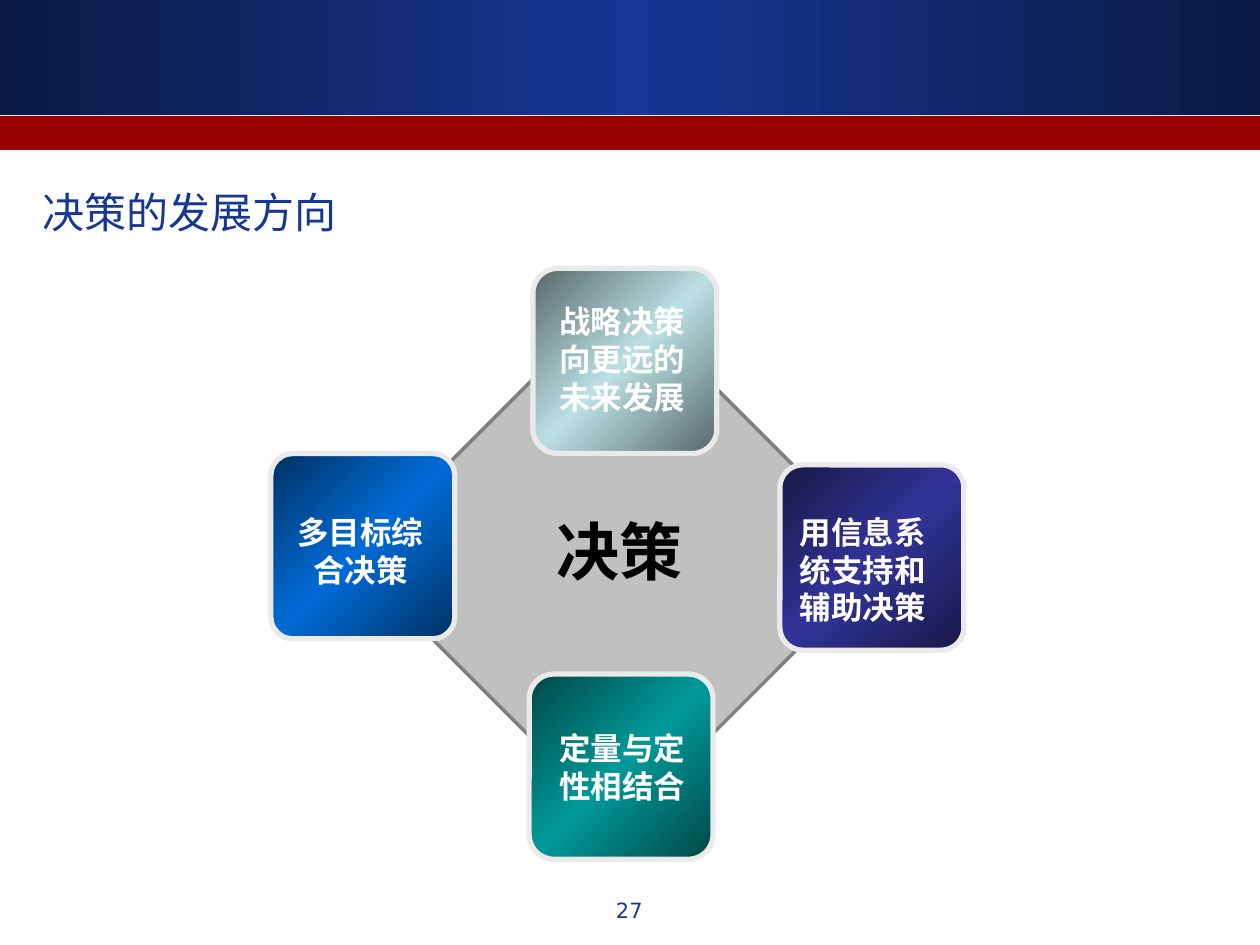
from dataclasses import dataclass
from typing import Optional

from lxml import etree
from pptx import Presentation
from pptx.dml.color import RGBColor
from pptx.enum.shapes import MSO_SHAPE
from pptx.enum.text import MSO_ANCHOR, PP_ALIGN
from pptx.oxml import parse_xml
from pptx.oxml.ns import qn
from pptx.util import Inches, Pt

RECTANGLE, ROUNDED = MSO_SHAPE.RECTANGLE, MSO_SHAPE.ROUNDED_RECTANGLE
LEFT, CENTER = PP_ALIGN.LEFT, PP_ALIGN.CENTER
TOP = MSO_ANCHOR.TOP

NAVY = RGBColor(0x16, 0x37, 0x94)
RED = RGBColor(0x99, 0x00, 0x00)
SILVER = RGBColor(0xC0, 0xC0, 0xC0)
GRAY = RGBColor(0x80, 0x80, 0x80)
PALE = RGBColor(0xEA, 0xEA, 0xEA)
BLACK = RGBColor(0x00, 0x00, 0x00)
WHITE = RGBColor(0xFF, 0xFF, 0xFF)
OFF_WHITE = RGBColor(0xFE, 0xFE, 0xFE)
AQUA = RGBColor(0xBB, 0xE0, 0xE3)
INDIGO = RGBColor(0x33, 0x33, 0x99)
TEAL = RGBColor(0x00, 0x99, 0x99)
BLUE = RGBColor(0x00, 0x6B, 0xD6)

DRAWING = "http://schemas.openxmlformats.org/drawingml/2006/main"
TILE_WIDTH, TILE_HEIGHT = 1.46, 1.47
LABEL_WIDTH = 1.42


@dataclass
class Box:
    left: float
    top: float
    width: float
    height: float


@dataclass
class Style:
    size: float
    font: str
    color: RGBColor
    bold: bool = False
    shadow: bool = False


@dataclass
class Tile:
    left: float
    top: float
    radius: float
    color: RGBColor
    label_box: Box
    lines: list
    alignment: PP_ALIGN = CENTER


TILE_STYLE = Style(18, "Arial", WHITE, bold=True, shadow=True)
TILE_STYLE_SOFT = Style(18, "Arial", OFF_WHITE, bold=True, shadow=True)

TILES = [
    Tile(4.23, 2.13, 0.135, AQUA, Box(4.23, 2.35, LABEL_WIDTH, 1.01),
         [("战略决策", TILE_STYLE), ("向更远的未来发展", TILE_STYLE_SOFT)]),
    Tile(6.19, 3.69, 0.124, INDIGO, Box(6.25, 4.02, LABEL_WIDTH, 1.01),
         [("用信息系统支持和辅助决策", TILE_STYLE)], LEFT),
    Tile(4.2, 5.35, 0.135, TEAL, Box(4.23, 5.74, LABEL_WIDTH, 0.71),
         [("定量与定性相结合", TILE_STYLE)]),
    Tile(2.15, 3.6, 0.119, BLUE, Box(2.15, 4.02, LABEL_WIDTH, 0.71),
         [("多目标综合决策", TILE_STYLE)]),
]


def add_block(slide, kind, box: Box, fill: Optional[RGBColor] = None,
              line: Optional[RGBColor] = None, line_width: float = 0):
    shape = slide.shapes.add_shape(kind, Inches(box.left), Inches(box.top),
                                   Inches(box.width), Inches(box.height))
    shape.shadow.inherit = False
    if fill is not None:
        shape.fill.solid()
        shape.fill.fore_color.rgb = fill
    if line is None:
        shape.line.fill.background()
    else:
        shape.line.color.rgb = line
        shape.line.width = Pt(line_width)
    return shape


def shade_gradient(shape, color: RGBColor, angle: int) -> None:
    """Fill with a colour that darkens evenly towards both ends."""
    dark = '<a:gamma/><a:shade val="46275"/><a:invGamma/>'
    stops = "".join(
        f'<a:gs pos="{position}"><a:srgbClr val="{color}">{change}</a:srgbClr></a:gs>'
        for position, change in ((0, dark), (50000, ""), (100000, dark)))
    gradient = parse_xml(
        f'<a:gradFill xmlns:a="{DRAWING}" rotWithShape="1"><a:gsLst>{stops}</a:gsLst>'
        f'<a:lin ang="{angle * 60000}" scaled="1"/></a:gradFill>')
    shape.fill.background()
    properties = shape.element.spPr
    properties.replace(properties.find(qn("a:noFill")), gradient)


def add_text_shadow(run) -> None:
    effects = parse_xml(
        f'<a:effectLst xmlns:a="{DRAWING}"><a:outerShdw blurRad="38100" dist="38100" '
        'dir="2700000" algn="tl"><a:srgbClr val="000000"/></a:outerShdw></a:effectLst>')
    run.font.fill._xPr.find(qn("a:solidFill")).addnext(effects)


def add_text(slide, box: Box, lines: list, alignment=CENTER, hanging: float = 0) -> None:
    text_box = slide.shapes.add_textbox(Inches(box.left), Inches(box.top),
                                        Inches(box.width), Inches(box.height))
    frame = text_box.text_frame
    frame.word_wrap = True
    frame.vertical_anchor = TOP
    for index, (text, style) in enumerate(lines):
        paragraph = frame.add_paragraph() if index else frame.paragraphs[0]
        paragraph.alignment = alignment
        if hanging:
            properties = paragraph._p.get_or_add_pPr()
            properties.set("marL", str(Inches(hanging)))
            properties.set("indent", str(-Inches(hanging)))
            etree.SubElement(properties, qn("a:buNone"))
        run = paragraph.add_run()
        run.text = text
        run.font.size = Pt(style.size)
        run.font.name = style.font
        run.font.bold = style.bold
        run.font.color.rgb = style.color
        if style.shadow:
            add_text_shadow(run)


def add_tile(slide, tile: Tile) -> None:
    box = Box(tile.left, tile.top, TILE_WIDTH, TILE_HEIGHT)
    shape = add_block(slide, ROUNDED, box, line=PALE, line_width=3)
    shape.adjustments[0] = tile.radius
    shade_gradient(shape, tile.color, 45)


def main() -> None:
    presentation = Presentation()
    presentation.slide_width, presentation.slide_height = Inches(10), Inches(7.5)
    slide = presentation.slides.add_slide(presentation.slide_layouts[6])

    header = add_block(slide, RECTANGLE, Box(0, 0, 10, 0.91))
    shade_gradient(header, NAVY, 0)
    add_block(slide, RECTANGLE, Box(0, 0.92, 10, 0.27), RED)
    add_text(slide, Box(3.83, 7.07, 2.33, 0.35), [("27", Style(12, "DejaVu Sans", NAVY))])

    diamond = add_block(slide, RECTANGLE, Box(3.42, 2.94, 3, 3), SILVER, GRAY, 2)
    diamond.rotation = 45
    add_text(slide, Box(3.75, 4.02, 2.33, 0.71),
             [("决策", Style(36, "Noto Sans CJK SC", BLACK, bold=True))])

    for tile in TILES:
        add_tile(slide, tile)
    for tile in TILES:
        add_text(slide, tile.label_box, tile.lines, tile.alignment)

    add_text(slide, Box(0.24, 1.43, 9.43, 0.5),
             [("决策的发展方向", Style(24, "DejaVu Sans", NAVY))], LEFT, hanging=0.38)
    presentation.save("out.pptx")


if __name__ == "__main__":
    main()
